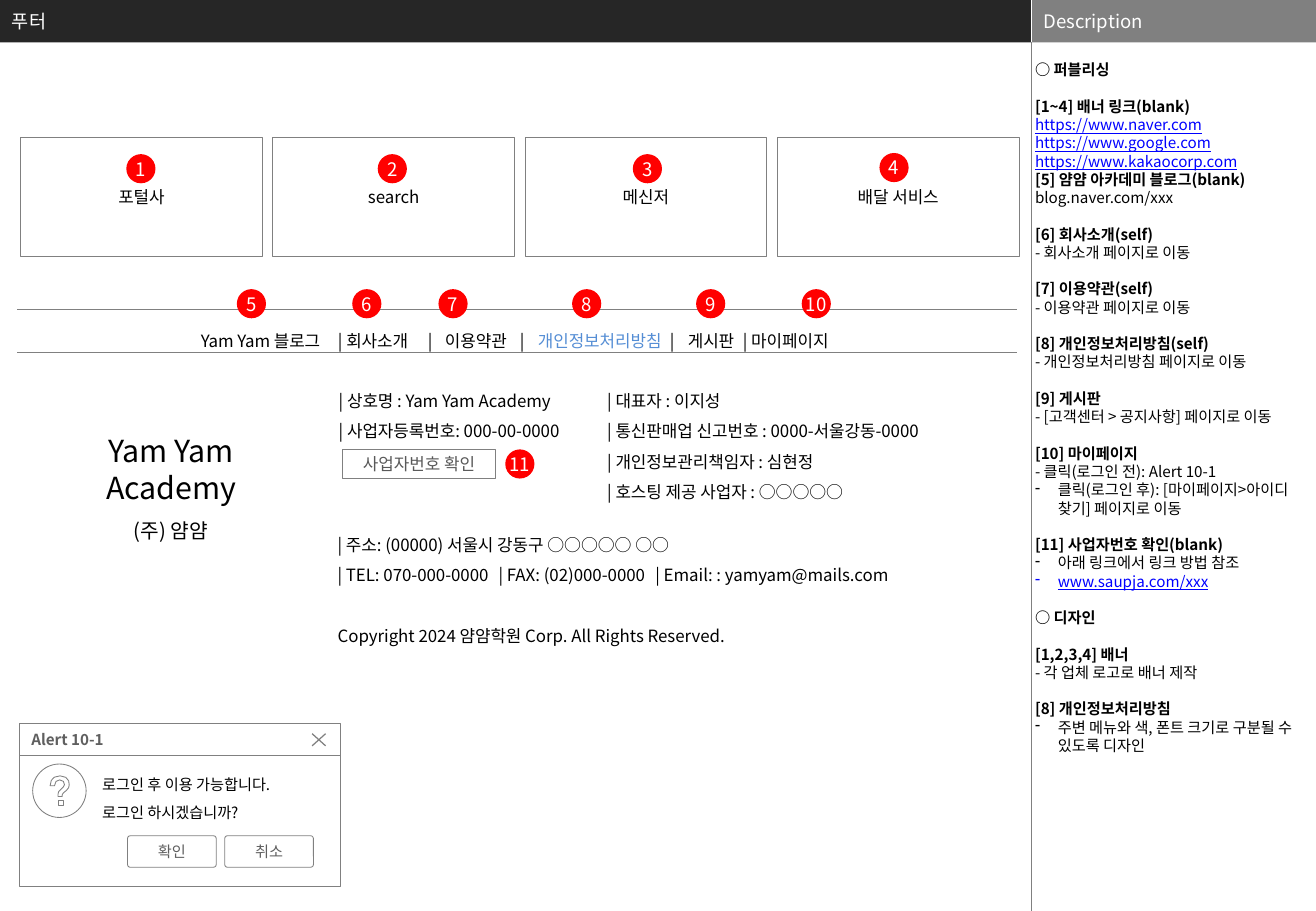
from dataclasses import dataclass, field

from lxml import etree
from pptx import Presentation
from pptx.dml.color import RGBColor
from pptx.enum.shapes import MSO_CONNECTOR, MSO_SHAPE
from pptx.enum.text import MSO_ANCHOR, PP_ALIGN
from pptx.oxml.ns import qn
from pptx.util import Pt

RECT, OVAL, ROUNDED = MSO_SHAPE.RECTANGLE, MSO_SHAPE.OVAL, MSO_SHAPE.ROUNDED_RECTANGLE
STRAIGHT = MSO_CONNECTOR.STRAIGHT
TOP, MIDDLE = MSO_ANCHOR.TOP, MSO_ANCHOR.MIDDLE
LEFT, CENTER = PP_ALIGN.LEFT, PP_ALIGN.CENTER

BLACK = RGBColor(0x00, 0x00, 0x00)
WHITE = RGBColor(0xFF, 0xFF, 0xFF)
CHARCOAL = RGBColor(0x26, 0x26, 0x26)
GRAY = RGBColor(0x80, 0x80, 0x80)
BUTTON_GRAY = RGBColor(0x59, 0x59, 0x59)
ALERT_GRAY = RGBColor(0x5F, 0x5F, 0x5F)
RED = RGBColor(0xFF, 0x00, 0x00)
LINK_BLUE = RGBColor(0x00, 0x00, 0xFF)
MENU_BLUE = RGBColor(0x55, 0x8E, 0xD5)

FONT = "Noto Sans CJK KR"
INSETS = (7.2, 3.6, 7.2, 3.6)
WIDE = {"line_spacing": 1.5}


@dataclass
class Line:
    text: str
    font: dict = field(default_factory=dict)
    color: RGBColor = BLACK
    layout: dict = field(default_factory=dict)
    bullet: bool = False
    tabs: tuple = ()
    more: tuple = ()


def set_all(target, values):
    for name, value in values.items():
        setattr(target, name, value)


class Wireframe:
    def __init__(self, slide):
        self.slide = slide
        self.shapes = slide.shapes

    def add_lines(self, frame, lines, size=10, align=LEFT):
        for index, line in enumerate(lines):
            paragraph = frame.add_paragraph() if index else frame.paragraphs[0]
            set_all(paragraph, {"alignment": align, **line.layout})
            props = paragraph._p.get_or_add_pPr()
            if line.bullet:
                props.set("marL", str(Pt(13.5)))
                props.set("indent", str(-Pt(13.5)))
                etree.SubElement(props, qn("a:buChar"), char="-")
            if line.tabs:
                stops = etree.SubElement(props, qn("a:tabLst"))
                for stop in line.tabs:
                    etree.SubElement(stops, qn("a:tab"), pos=str(Pt(stop)), algn="l")
            for text, color in ((line.text, line.color), *line.more):
                run = paragraph.add_run()
                run.text = text
                run.font.color.rgb = color
                set_all(run.font, {"name": FONT, "size": Pt(size), **line.font})
                etree.SubElement(run._r.get_or_add_rPr(), qn("a:ea"), typeface=FONT)

    def set_frame(self, frame, anchor, insets, wrap=True):
        left, top, right, bottom = map(Pt, insets)
        set_all(frame, {"word_wrap": wrap, "vertical_anchor": anchor, "margin_left": left,
                        "margin_top": top, "margin_right": right, "margin_bottom": bottom})

    def text(self, x, y, w, h, lines, size=10, align=LEFT, anchor=TOP, insets=INSETS):
        frame = self.shapes.add_textbox(Pt(x), Pt(y), Pt(w), Pt(h)).text_frame
        self.set_frame(frame, anchor, insets)
        self.add_lines(frame, lines, size, align)

    def paint(self, shape, fill, border):
        shape.shadow.inherit = False
        if fill is None:
            shape.fill.background()
        else:
            shape.fill.solid()
            shape.fill.fore_color.rgb = fill
        if border is None:
            shape.line.fill.background()
        else:
            shape.line.color.rgb = border
            shape.line.width = Pt(0.5)

    def box(self, x, y, w, h, lines=(), kind=RECT, fill=None, border=GRAY, size=10,
            align=CENTER, insets=INSETS, wrap=True):
        shape = self.shapes.add_shape(kind, Pt(x), Pt(y), Pt(w), Pt(h))
        self.paint(shape, fill, border)
        if kind == ROUNDED:
            shape.adjustments[0] = 0.09
        self.set_frame(shape.text_frame, MIDDLE, insets, wrap)
        self.add_lines(shape.text_frame, lines, size, align)

    def badge(self, number, x, y):
        self.box(x, y, 17.3, 17.3, [Line(str(number), color=WHITE)], OVAL, RED, None,
                 size=11, insets=(0, 0, 0, 0), wrap=False)

    def line(self, x1, y1, x2, y2, color=GRAY, width=0.25):
        connector = self.shapes.add_connector(STRAIGHT, Pt(x1), Pt(y1), Pt(x2), Pt(y2))
        connector.line.color.rgb = color
        connector.line.width = Pt(width)
        etree.SubElement(connector._element.spPr, qn("a:effectLst"))

    def outline(self, *contours):
        first, *others = [[(Pt(x), Pt(y)) for x, y in points] for points in contours]
        builder = self.shapes.build_freeform(*first[0])
        builder.add_line_segments(first[1:], close=True)
        for points in others:
            builder.move_to(*points[0])
            builder.add_line_segments(points[1:], close=True)
        self.paint(builder.convert_to_shape(), None, GRAY)

    def menu(self, x, y, w, h, line, indent):
        table = self.shapes.add_table(1, 1, Pt(x), Pt(y), Pt(w), Pt(h)).table
        set_all(table, {"first_row": False, "horz_banding": False})
        cell = table.cell(0, 0)
        set_all(cell, {"vertical_anchor": MIDDLE, "margin_left": Pt(indent)})
        props = cell._tc.get_or_add_tcPr()
        for side, color, width in (("L", WHITE, 1), ("R", WHITE, 1), ("T", GRAY, 0.5), ("B", GRAY, 0.5)):
            edge = etree.SubElement(props, qn(f"a:ln{side}"), w=str(Pt(width)))
            solid = etree.SubElement(edge, qn("a:solidFill"))
            etree.SubElement(solid, qn("a:srgbClr"), val=str(color))
        cell.fill.background()
        self.add_lines(cell.text_frame, [line])


def heading(text, gap=10.8):
    return Line(text, {"bold": True}, layout={"space_before": Pt(gap)})


def link(text, bullet=False):
    return Line(text, {"underline": True}, LINK_BLUE, bullet=bullet)


def wide(*texts):
    return [Line(text, layout=WIDE) for text in texts]


DESCRIPTION = [
    heading("○ 퍼블리싱", 0),
    heading("[1~4] 배너 링크(blank)"),
    link("https://www.naver.com"),
    link("https://www.google.com"),
    link("https://www.kakaocorp.com"),
    heading("[5] 얌얌 아카데미 블로그(blank)", 0),
    Line("blog.naver.com/xxx"),
    heading("[6] 회사소개(self)"),
    Line("- 회사소개 페이지로 이동"),
    heading("[7] 이용약관(self)"),
    Line("- 이용약관 페이지로 이동"),
    heading("[8] 개인정보처리방침(self)"),
    Line("- 개인정보처리방침 페이지로 이동"),
    heading("[9] 게시판"),
    Line("- [고객센터 > 공지사항] 페이지로 이동"),
    heading("[10] 마이페이지"),
    Line("- 클릭(로그인 전): Alert 10-1"),
    Line("클릭(로그인 후): [마이페이지>아이디 찾기] 페이지로 이동", bullet=True),
    heading("[11] 사업자번호 확인(blank)"),
    Line("아래 링크에서 링크 방법 참조", bullet=True),
    link("www.saupja.com/xxx", bullet=True),
    heading("○ 디자인"),
    heading("[1,2,3,4] 배너"),
    Line("- 각 업체 로고로 배너 제작"),
    heading("[8] 개인정보처리방침"),
    Line("주변 메뉴와 색, 폰트 크기로 구분될 수 있도록 디자인", bullet=True),
]
BANNERS = ("포털사", "search", "메신저", "배달 서비스")
BADGES = ((74.9, 91.4), (223.9, 91.4), (375.1, 91.4), (521.3, 90.7),
          *((x, 171.4) for x in (140.4, 208.8, 259.9, 339.1, 412.6, 475.2)), (299.5, 266.4))
QUESTION_HOOK = (
    (36.8, 472.2), (34.4, 472.2), (34.4, 470.9), (34.7, 469.4), (36, 468), (37.6, 466.4),
    (38.2, 465.1), (37.6, 463.2), (35.4, 462.3), (33.2, 463.2), (32.3, 465.8), (29.7, 465.8),
    (30.4, 462.6), (32.2, 460.7), (35.6, 459.9), (39, 460.8), (40.7, 462.9), (41, 465.2),
    (40.7, 466.9), (39.4, 468.5), (37.6, 470), (36.9, 471))
QUESTION_DOT = ((34.4, 474.5), (37.3, 474.5), (37.3, 477.4), (34.4, 477.4))


def main():
    deck = Presentation()
    set_all(deck, {"slide_width": Pt(780), "slide_height": Pt(540)})
    page = Wireframe(deck.slides.add_slide(deck.slide_layouts[6]))

    page.box(0, 0, 611.3, 25.2, fill=CHARCOAL, border=None)
    page.box(611.3, 0, 168.7, 25.2, fill=GRAY, border=None)
    page.line(611.3, 0, 611.3, 25.2, WHITE)
    page.line(611.3, 24.8, 611.3, 540)
    page.text(0, 0, 594, 25.2, [Line("푸터", color=WHITE)], 11, anchor=MIDDLE)
    page.text(611.3, 0, 168.7, 24.5, [Line("Description", color=WHITE)], 11, anchor=MIDDLE)
    page.text(610.6, 36, 169.4, 504, DESCRIPTION, 9, insets=(2.9, 0, 2.9, 0))

    for index, banner in enumerate(BANNERS):
        page.box(12.2 + 149.5 * index, 81.4, 143.3, 70.6, [Line(banner)])

    page.menu(9.4, 183.6, 594, 25.2, Line(
        "Yam Yam 블로그\t| 회사소개\t|\t이용약관\t|\t", layout=WIDE,
        tabs=(81.2, 134.5, 144.6, 189, 199.7, 278, 288.6, 321.2),
        more=(("개인정보처리방침", MENU_BLUE), ("\t|\t게시판\t| 마이페이지", BLACK))), 109.7)

    page.text(31.7, 252.7, 139.7, 72.7, [Line("Yam Yam Academy")], 18, CENTER)
    page.text(52.6, 303.8, 97.2, 21.6, [Line("(주) 얌얌")], 12, CENTER)
    page.text(193.7, 221.8, 173.5, 41,
              wide("| 상호명 : Yam Yam Academy", "| 사업자등록번호: 000-00-0000"))
    page.box(203, 266.4, 90.7, 17.3, [Line("사업자번호 확인", color=BUTTON_GRAY)])
    page.text(352.8, 221.8, 241.2, 79.9,
              wide("| 대표자 : 이지성", "| 통신판매업 신고번호 : 0000-서울강동-0000",
                   "| 개인정보관리책임자 : 심현정", "| 호스팅 제공 사업자 : ○○○○○"))
    page.text(193, 307.4, 390.2, 79.9, [
        *wide("| 주소: (00000) 서울시 강동구 ○○○○○ ○○"),
        Line("| TEL: 070-000-0000\t| FAX: (02)000-0000\t| Email: : yamyam@mails.com",
             layout=WIDE, tabs=(95.4, 188.4)),
        Line("Copyright 2024 얌얌학원 Corp. All Rights Reserved.",
             layout={**WIDE, "space_before": Pt(18)})])

    for number, (x, y) in enumerate(BADGES, 1):
        page.badge(number, x, y)

    page.box(11.5, 447.8, 190.1, 77.8, fill=WHITE)
    page.text(54.7, 451.4, 144, 38.2, wide("로그인 후 이용 가능합니다.", "로그인 하시겠습니까?"),
              9, anchor=MIDDLE, insets=(5.8, 2.9, 5.8, 2.9))
    page.box(11.5, 429.1, 190.1, 18.7, [Line("Alert 10-1", {"bold": True}, ALERT_GRAY)],
             fill=WHITE, size=9, align=LEFT, insets=(7.2, 3.6, 18, 3.6))
    page.line(185, 434.9, 193, 442.1, width=0.75)
    page.line(185, 442.1, 193, 434.9, width=0.75)
    page.box(19.4, 452.9, 31.7, 31.7, kind=OVAL)
    page.outline(QUESTION_HOOK, QUESTION_DOT)
    for x, answer in ((75.6, "확인"), (133.2, "취소")):
        page.box(x, 495.4, 52.6, 18.7, [Line(answer, color=ALERT_GRAY)], ROUNDED, WHITE, size=9)

    deck.save("out.pptx")


if __name__ == "__main__":
    main()
